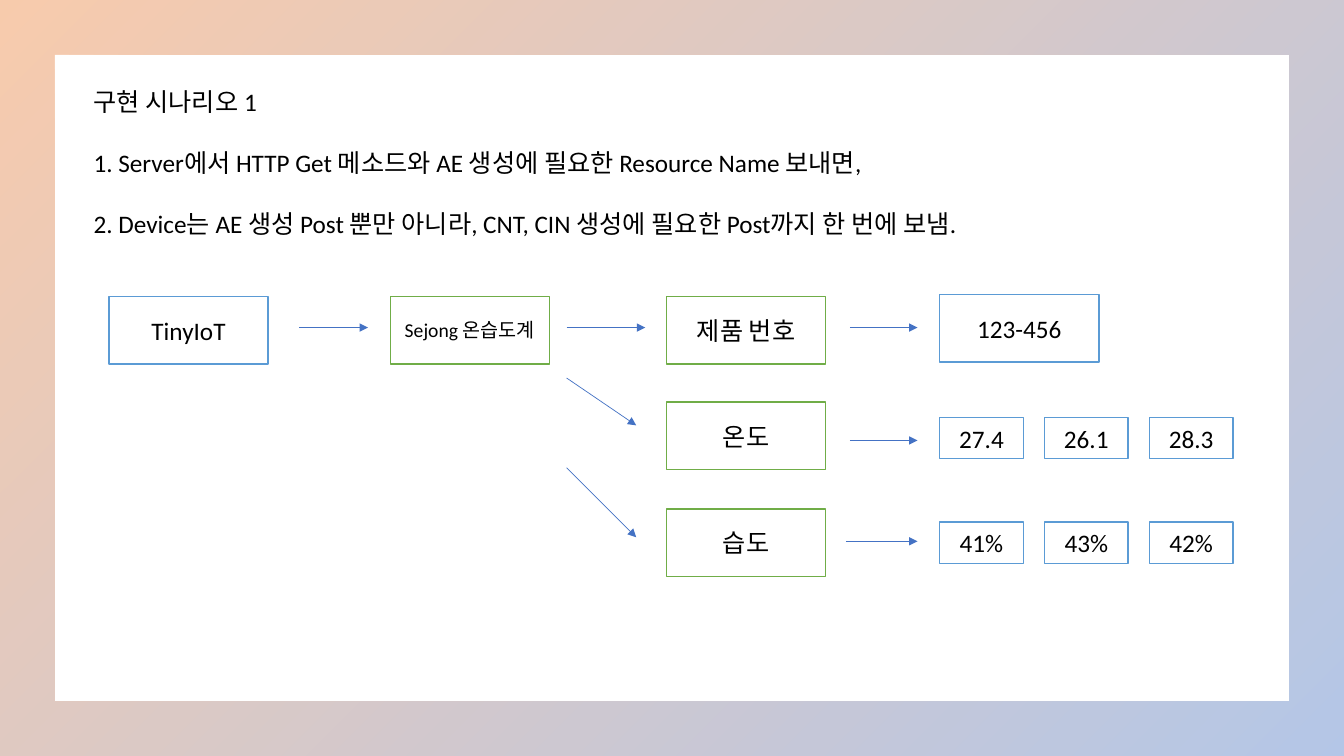
from pptx import Presentation
from pptx.dml.color import RGBColor
from pptx.enum.shapes import MSO_CONNECTOR, MSO_SHAPE
from pptx.enum.text import MSO_ANCHOR, PP_ALIGN
from pptx.oxml.ns import qn
from pptx.util import Pt
from lxml.etree import SubElement

PX = 9144  # 100 px to the inch
THEME = dict(
    font="Calibri", text="000000", paper="FFFFFF", blue="5B9BD5", green="70AD47",
    arrow="4472C4", frame=("ED7D31", "4472C4"), frame_alpha=40,
    body=18, small=14, gap=22, border=1, arrow_width=0.5,
)

prs = Presentation()
prs.slide_width, prs.slide_height = 1333 * PX, 750 * PX
slide = prs.slides.add_slide(prs.slide_layouts[6])
shapes = slide.shapes


def add_box(lines, x, y, w, h, line="paper", size="body",
            align=PP_ALIGN.CENTER, anchor=MSO_ANCHOR.MIDDLE):
    sp = shapes.add_shape(MSO_SHAPE.RECTANGLE, x * PX, y * PX, w * PX, h * PX)
    sp.shadow.inherit = False
    sp.fill.solid()
    sp.fill.fore_color.rgb = RGBColor.from_string(THEME["paper"])
    sp.line.color.rgb = RGBColor.from_string(THEME[line])
    sp.line.width = Pt(THEME["border"])
    tf = sp.text_frame
    tf.word_wrap = True
    tf.vertical_anchor = anchor
    for i, text in enumerate(lines):
        p = tf.add_paragraph() if i else tf.paragraphs[0]
        p.alignment = align
        if i:
            p.space_before = Pt(THEME["gap"])
        r = p.add_run()
        r.text = text
        r.font.name = THEME["font"]
        r.font.size = Pt(THEME[size])
        r.font.color.rgb = RGBColor.from_string(THEME["text"])


# Gradient frame around the slide
frame = shapes.add_shape(MSO_SHAPE.FRAME, 0, 0, prs.slide_width, prs.slide_height)
frame.adjustments[0] = 0.072
frame.shadow.inherit = False
frame.line.fill.background()
frame.fill.gradient()
frame.fill.gradient_angle = 315
for stop, color in zip(frame.fill.gradient_stops, THEME["frame"]):
    stop.color.rgb = RGBColor.from_string(color)
for clr in frame._element.spPr.iter(qn("a:srgbClr")):
    SubElement(clr, qn("a:alpha"), val=str(THEME["frame_alpha"] * 1000))

# Scenario text
add_box(
    ["구현 시나리오 1",
     "1. Server에서 HTTP Get 메소드와 AE 생성에 필요한 Resource Name 보내면,",
     "2. Device는 AE 생성 Post 뿐만 아니라, CNT, CIN 생성에 필요한 Post까지 한 번에 보냄."],
    83, 81, 1063, 374, align=PP_ALIGN.LEFT, anchor=MSO_ANCHOR.TOP)

# Resource tree: server, device, containers
NODE_W, NODE_H = 158, 67
for text, x, y, line, size in [
    ("TinyIoT", 108, 294, "blue", "body"),
    ("Sejong 온습도계", 387, 294, "green", "small"),
    ("제품 번호", 661, 294, "green", "body"),
    ("온도", 661, 399, "green", "body"),
    ("습도", 661, 505, "green", "body"),
    ("123-456", 932, 292, "blue", "body"),
]:
    add_box([text], x, y, NODE_W, NODE_H, line=line, size=size)

# Measured values
VALUE_W, VALUE_H, VALUE_STEP = 83, 41, 104
for y, values in [(414, ("27.4", "26.1", "28.3")), (518, ("41%", "43%", "42%"))]:
    for col, value in enumerate(values):
        add_box([value], 932 + col * VALUE_STEP, y, VALUE_W, VALUE_H, line="blue")

# Arrows
for x1, y1, x2, y2 in [
    (297, 325, 365, 325), (562, 325, 640, 325),
    (562, 375, 631, 422), (562, 464, 631, 533),
    (843, 325, 910, 325), (843, 437, 910, 437), (839, 537, 910, 537),
]:
    arrow = shapes.add_connector(MSO_CONNECTOR.STRAIGHT, x1 * PX, y1 * PX, x2 * PX, y2 * PX)
    arrow.line.color.rgb = RGBColor.from_string(THEME["arrow"])
    arrow.line.width = Pt(THEME["arrow_width"])
    SubElement(arrow.line._get_or_add_ln(), qn("a:tailEnd"), type="triangle")
    SubElement(arrow._element.spPr, qn("a:effectLst"))

prs.save("out.pptx")
